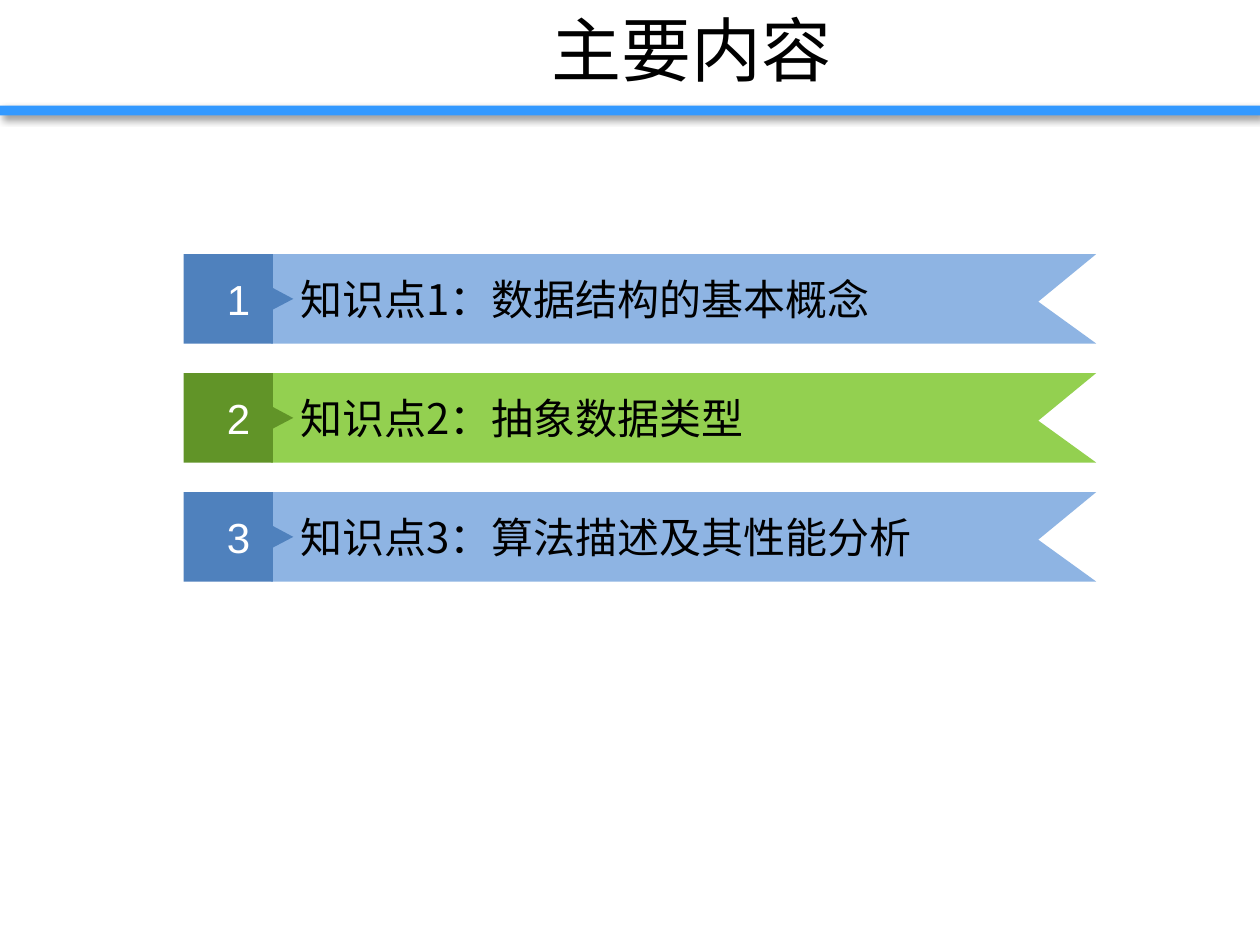
"""Build the contents slide: a title, a rule and three numbered ribbons."""
import pptx
import pptx.dml.color
import pptx.enum.shapes
import pptx.enum.text
import pptx.oxml
import pptx.oxml.ns
import pptx.util

Pt = pptx.util.Pt
ALIGN = pptx.enum.text.PP_ALIGN
CJK = "Noto Sans CJK SC"


def rgb(value):
    return pptx.dml.color.RGBColor.from_string(value)


def write(sp, text, size, font, color, align, left=0):
    tf = sp.text_frame
    tf.word_wrap = True
    tf.vertical_anchor = pptx.enum.text.MSO_ANCHOR.MIDDLE
    tf.margin_left = Pt(left)
    tf.margin_right = tf.margin_top = tf.margin_bottom = 0
    p = tf.paragraphs[0]
    p.alignment = align
    r = p.add_run()
    r.text = text
    r.font.size = Pt(size)
    r.font.name = font
    r.font.color.rgb = rgb(color)
    ea = pptx.oxml.parse_xml(f'<a:ea {pptx.oxml.ns.nsdecls("a")} typeface="{font}"/>')
    r.font._element.append(ea)


prs = pptx.Presentation()
prs.slide_width = Pt(720)
prs.slide_height = Pt(540)
s = prs.slides.add_slide(prs.slide_layouts[6])

rule = s.shapes.add_shape(
    pptx.enum.shapes.MSO_SHAPE.RECTANGLE, 0, Pt(60.3), Pt(720), Pt(5.7)
)
rule.fill.solid()
rule.fill.fore_color.rgb = rgb("3399FF")
rule.line.fill.background()
rule._element.spPr.append(pptx.oxml.parse_xml(
    f'<a:effectLst {pptx.oxml.ns.nsdecls("a")}>'
    f'<a:outerShdw blurRad="{Pt(4)}" dist="{Pt(3)}" dir="2700000" algn="tl" rotWithShape="0">'
    '<a:srgbClr val="000000"><a:alpha val="40000"/></a:srgbClr>'
    '</a:outerShdw></a:effectLst>'
))

title = s.shapes.add_textbox(Pt(70.5), 0, Pt(649.5), Pt(55.5))
write(title, "主要内容", 40, CJK, "000000", ALIGN.CENTER)

ribbon = [(154.8, 0), (626.4, 0), (593.3, 27.2), (626.4, 51.1), (154.8, 51.1)]
tag = [(104.9, 0), (156, 0), (156, 19.4), (167.6, 25.6),
       (156, 31.7), (156, 51.1), (104.9, 51.1)]
topics = [
    ("数据结构的基本概念", "8EB4E3", "4F81BD"),
    ("抽象数据类型", "93D050", "619428"),
    ("算法描述及其性能分析", "8EB4E3", "4F81BD"),
]

for i, (topic, light, dark) in enumerate(topics):
    top = 145.2 + 68 * i
    parts = [
        (ribbon, light, f"知识点{i + 1}：{topic}", CJK, "000000", ALIGN.LEFT, 17),
        (tag, dark, str(i + 1), "Arial", "FFFFFF", ALIGN.CENTER, 0),
    ]
    for outline, fill, text, font, color, align, left in parts:
        points = [(Pt(x), Pt(top + y)) for x, y in outline]
        fb = s.shapes.build_freeform(*points[0])
        fb.add_line_segments(points[1:], close=True)
        sp = fb.convert_to_shape()
        sp.shadow.inherit = False
        sp.fill.solid()
        sp.fill.fore_color.rgb = rgb(fill)
        sp.line.fill.background()
        write(sp, text, 24, font, color, align, left)

prs.save("out.pptx")
